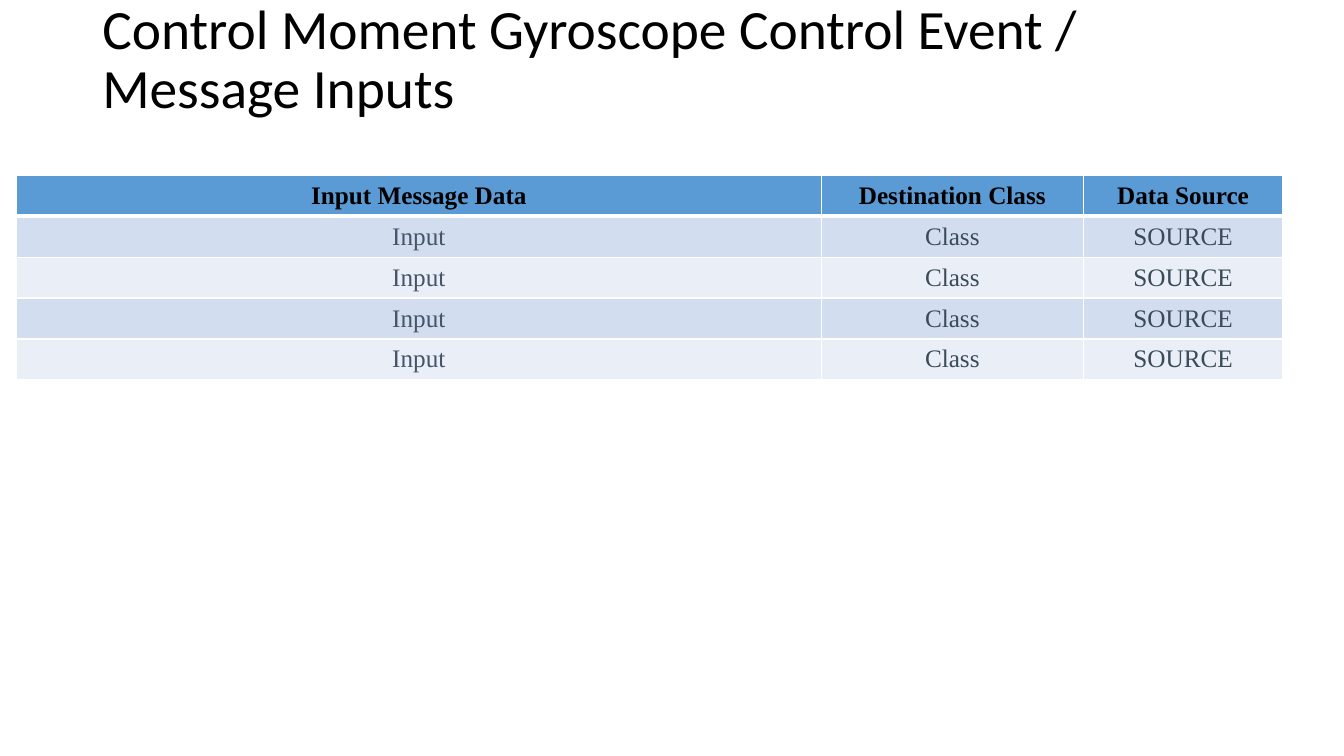
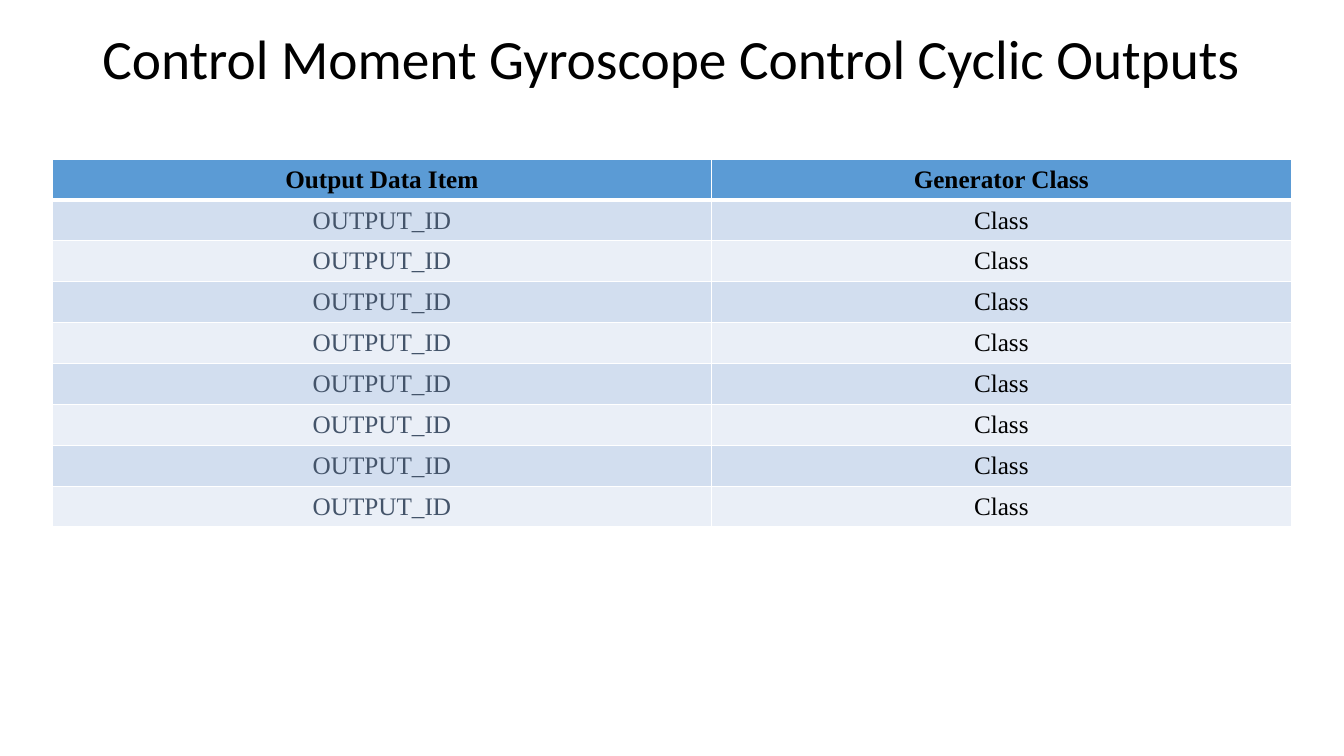
from dataclasses import dataclass

from lxml import etree
from pptx import Presentation
from pptx.dml.color import RGBColor
from pptx.enum.text import MSO_ANCHOR, PP_ALIGN
from pptx.oxml.ns import qn
from pptx.slide import Slide
from pptx.table import _Cell
from pptx.text.text import _Paragraph
from pptx.util import Cm, Pt

MIDDLE = MSO_ANCHOR.MIDDLE
CENTER = PP_ALIGN.CENTER

BLACK = RGBColor(0x00, 0x00, 0x00)
WHITE = RGBColor(0xFF, 0xFF, 0xFF)
BLUE = RGBColor(0x5B, 0x9B, 0xD5)
BANDS = (RGBColor(0xD2, 0xDE, 0xEF), RGBColor(0xEA, 0xEF, 0xF7))
SLATE = RGBColor(0x44, 0x54, 0x6A)
STEEL = RGBColor(0x39, 0x4A, 0x59)

HEAD_FONT = "Calibri"
CELL_FONT = "Times New Roman"
ROW = Cm(1.03)
THIN = Pt(1)
THICK = Pt(3)


@dataclass(frozen=True)
class Column:
    head: str
    entry: str
    width: float
    color: RGBColor


@dataclass(frozen=True)
class Page:
    title: str
    left: float
    top: float
    count: int
    columns: tuple[Column, ...]


PAGES = (
    Page("Control Moment Gyroscope Control Event / Message Inputs", 0.41, 4.42, 4, (
        Column("Input Message Data", "Input", 20.29, SLATE),
        Column("Destination Class", "Class", 6.6, STEEL),
        Column("Data Source", "SOURCE", 5.03, STEEL),
    )),
    Page("Control Moment Gyroscope Control Cyclic Outputs", 1.32, 4.01, 8, (
        Column("Output Data Item", "OUTPUT_ID", 16.61, SLATE),
        Column("Generator Class", "Class", 14.61, BLACK),
    )),
)


def add_run(para: _Paragraph, text: str, font: str, size: float,
            color: RGBColor, bold: bool = False) -> None:
    run = para.add_run()
    run.text = text
    run.font.name = font
    run.font.size = Pt(size)
    run.font.bold = bold
    run.font.color.rgb = color


def add_title(slide: Slide, text: str) -> None:
    box = slide.shapes.add_textbox(Cm(2.33), Cm(0.18), Cm(29.21), Cm(2.72))
    frame = box.text_frame
    frame.word_wrap = True
    frame.vertical_anchor = MIDDLE
    para = frame.paragraphs[0]
    para.line_spacing = 0.9
    add_run(para, text, HEAD_FONT, 39.6, BLACK)


def add_edges(cell: _Cell, row: int) -> None:
    top = THICK if row == 1 else THIN
    base = THICK if row == 0 else THIN
    props = cell._tc.get_or_add_tcPr()
    edges = (("a:lnL", THIN), ("a:lnR", THIN), ("a:lnT", top), ("a:lnB", base))
    for tag, width in edges:
        line = etree.SubElement(props, qn(tag), w=str(int(width)))
        fill = etree.SubElement(line, qn("a:solidFill"))
        etree.SubElement(fill, qn("a:srgbClr"), val=str(WHITE))


def fill_cell(cell: _Cell, column: Column, row: int) -> None:
    header = row == 0
    add_edges(cell, row)
    cell.fill.solid()
    cell.fill.fore_color.rgb = BLUE if header else BANDS[(row - 1) % 2]
    cell.vertical_anchor = MIDDLE
    para = cell.text_frame.paragraphs[0]
    para.alignment = CENTER
    text = column.head if header else column.entry
    color = BLACK if header else column.color
    add_run(para, text, CELL_FONT, 18, color, header)


def add_grid(slide: Slide, page: Page) -> None:
    rows = page.count + 1
    width = Cm(sum(column.width for column in page.columns))
    table = slide.shapes.add_table(rows, len(page.columns), Cm(page.left),
                                   Cm(page.top), width, ROW * rows).table
    for row in table.rows:
        row.height = ROW
    for index, column in enumerate(page.columns):
        table.columns[index].width = Cm(column.width)
        for row in range(rows):
            fill_cell(table.cell(row, index), column, row)


def main() -> None:
    deck = Presentation()
    deck.slide_width = Cm(33.87)
    deck.slide_height = Cm(19.05)
    blank = deck.slide_layouts[6]
    for page in PAGES:
        slide = deck.slides.add_slide(blank)
        add_title(slide, page.title)
        add_grid(slide, page)
    deck.save("out.pptx")


if __name__ == "__main__":
    main()
